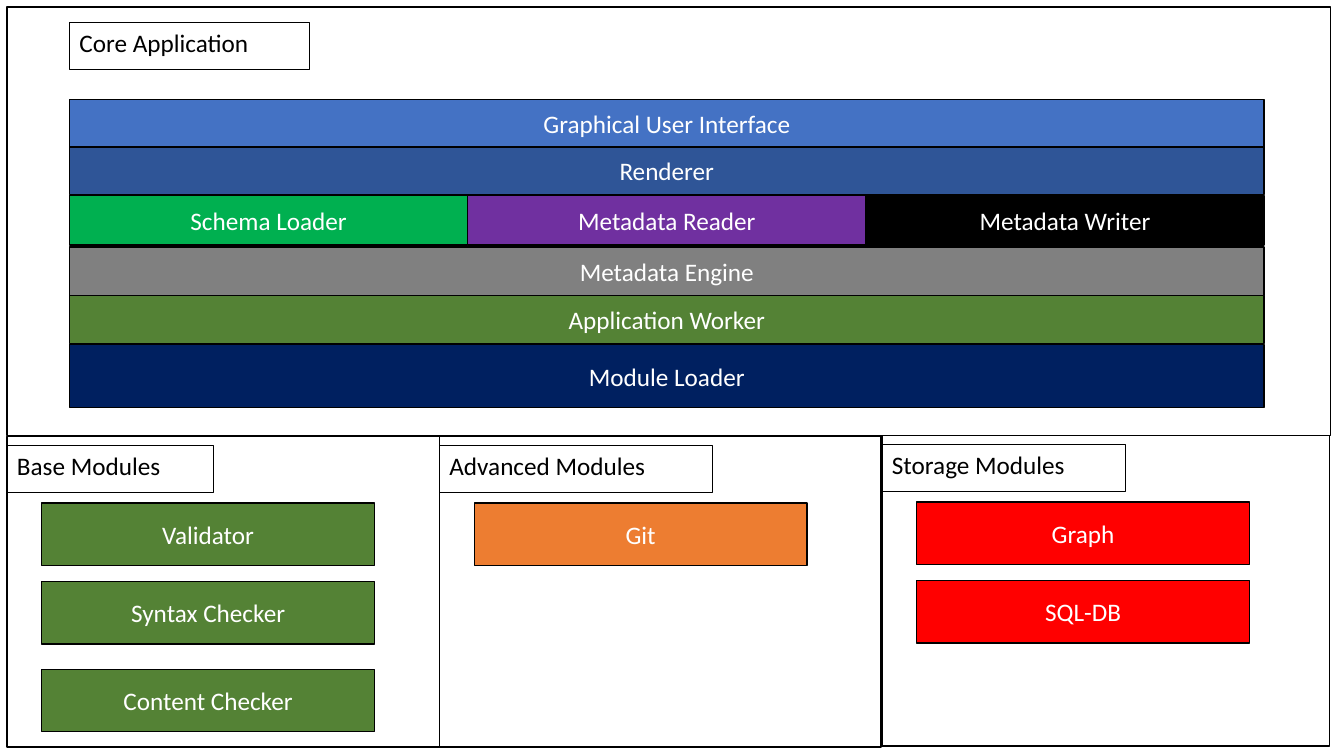
from pptx import Presentation
from pptx.dml.color import RGBColor
from pptx.enum.shapes import MSO_SHAPE
from pptx.enum.text import MSO_ANCHOR, PP_ALIGN
from pptx.util import Inches, Pt

CELL = Inches(0.1)
COLUMNS, ROWS = 133.33, 75

COLORS = {
    "black": "000000", "white": "FFFFFF", "blue": "4472C4", "steel": "2F5597",
    "navy": "002060", "emerald": "00B050", "purple": "7030A0", "gray": "808080",
    "green": "548235", "orange": "ED7D31", "red": "FF0000",
}

STACK_LEFT, STACK_WIDTH = 6.9, 118.5
# Top row, height in rows, and the (name, color) blocks sharing the layer
LAYERS = [
    (9.9, 4.7, [("Graphical User Interface", "blue")]),
    (14.6, 4.7, [("Renderer", "steel")]),
    (19.4, 4.9, [("Schema Loader", "emerald"), ("Metadata Reader", "purple"),
                 ("Metadata Writer", "black")]),
    (24.5, 4.8, [("Metadata Engine", "gray")]),
    (29.3, 4.8, [("Application Worker", "green")]),
    (34.2, 6.2, [("Module Loader", "navy")]),
]

# Title, left, top, panel width, title width, module color, modules
PANELS = [
    ("Base Modules", 0.7, 43.3, 42.9, 20.5, "green",
     ["Validator", "Syntax Checker", "Content Checker"]),
    ("Advanced Modules", 43.6, 43.3, 43.8, 27.1, "orange", ["Git"]),
    ("Storage Modules", 87.5, 43.2, 44.4, 24.2, "red", ["Graph", "SQL-DB"]),
]
PANEL_HEIGHT, TITLE_HEIGHT, TITLE_OFFSET = 30.8, 4.7, 0.9
MODULE_INDENT, MODULE_WIDTH, MODULE_HEIGHT = 3.45, 33, 6.2
MODULE_OFFSETS = [6.6, 14.4, 23.1]


def rgb(color):
    return RGBColor.from_string(COLORS[color])


def write(shape, text, *, color="white", align=PP_ALIGN.CENTER,
          anchor=MSO_ANCHOR.MIDDLE, size=18, font="Calibri"):
    frame = shape.text_frame
    frame.word_wrap = True
    frame.vertical_anchor = anchor
    paragraph = frame.paragraphs[0]
    paragraph.text = text
    paragraph.alignment = align
    paragraph.font.name = font
    paragraph.font.size = Pt(size)
    paragraph.font.color.rgb = rgb(color)


def add_frame(slide, left, top, width, height, *, fill=None, line_width=1):
    """Add an outlined rectangle measured in grid cells."""
    frame = slide.shapes.add_shape(
        MSO_SHAPE.RECTANGLE,
        *(round(cells * CELL) for cells in (left, top, width, height)))
    frame.shadow.inherit = False
    if fill:
        frame.fill.solid()
        frame.fill.fore_color.rgb = rgb(fill)
    else:
        frame.fill.background()
    frame.line.color.rgb = rgb("black")
    frame.line.width = Pt(line_width)
    return frame


def add_block(slide, name, color, *area):
    write(add_frame(slide, *area, fill=color), name)


def add_title(slide, title, *area):
    write(add_frame(slide, *area, line_width=0.75), title, color="black",
          align=PP_ALIGN.LEFT, anchor=MSO_ANCHOR.TOP)


def add_core(slide):
    for top, height, blocks in LAYERS:
        width = STACK_WIDTH / len(blocks)
        for column, (name, color) in enumerate(blocks):
            add_block(slide, name, color,
                      STACK_LEFT + column * width, top, width, height)
    add_frame(slide, 0.7, 0.7, 131.3, 42.5)
    add_title(slide, "Core Application", STACK_LEFT, 2.2, 23.8, TITLE_HEIGHT)


def add_panel(slide, title, left, top, width, title_width, color, modules):
    add_frame(slide, left, top, width, PANEL_HEIGHT)
    add_title(slide, title, left, top + TITLE_OFFSET, title_width, TITLE_HEIGHT)
    for module, offset in zip(modules, MODULE_OFFSETS):
        add_block(slide, module, color, left + MODULE_INDENT, top + offset,
                  MODULE_WIDTH, MODULE_HEIGHT)


def main():
    presentation = Presentation()
    presentation.slide_width = round(COLUMNS * CELL)
    presentation.slide_height = ROWS * CELL
    slide = presentation.slides.add_slide(presentation.slide_layouts[6])
    add_core(slide)
    for panel in PANELS:
        add_panel(slide, *panel)
    presentation.save("out.pptx")


if __name__ == "__main__":
    main()
